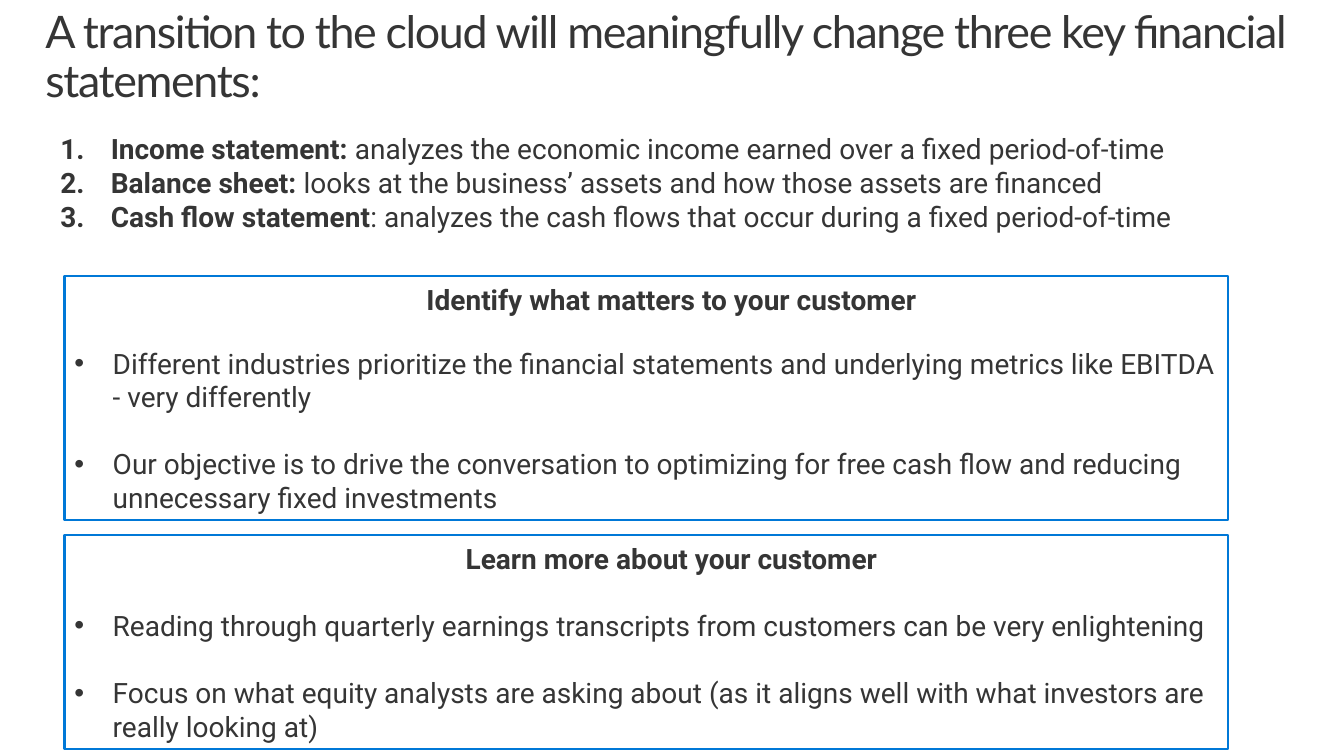
from lxml import etree
from pptx import Presentation
from pptx.dml.color import RGBColor
from pptx.enum.shapes import MSO_SHAPE
from pptx.enum.text import MSO_ANCHOR, PP_ALIGN
from pptx.oxml.ns import qn
from pptx.util import Inches, Pt

RECT = MSO_SHAPE.RECTANGLE
TOP, MIDDLE = MSO_ANCHOR.TOP, MSO_ANCHOR.MIDDLE
LEFT, CENTER = PP_ALIGN.LEFT, PP_ALIGN.CENTER
COLORS = {"text": "353535", "fill": "FFFFFF", "line": "0078D7"}

TITLE = "A transition to the cloud will meaningfully change three key financial statements:"
ITEMS = [
    ("Income statement: ", "analyzes the economic income earned over a fixed period-of-time"),
    ("Balance sheet: ", "looks at the business’ assets and how those assets are financed"),
    ("Cash flow statement", ": analyzes the cash flows that occur during a fixed period-of-time"),
]
PANELS = [
    (2.74, 2.42, 21.6, "Identify what matters to your customer", [
        "Different industries prioritize the financial statements and underlying metrics like EBITDA - very differently",
        "Our objective is to drive the conversation to optimizing for free cash flow and reducing unnecessary fixed investments",
    ]),
    (5.31, 2.12, 24, "Learn more about your customer", [
        "Reading through quarterly earnings transcripts from customers can be very enlightening",
        "Focus on what equity analysts are asking about (as it aligns well with what investors are really looking at)",
    ]),
]


def color(name):
    """Return a named colour."""
    return RGBColor.from_string(COLORS[name])


def add_run(para, text, size=20, bold=False, face="Roboto"):
    """Add one styled run to a paragraph."""
    run = para.add_run()
    run.text = text
    font = run.font
    font.size, font.bold, font.name = Pt(size), bold, face
    font.color.rgb = color("text")
    return run


def indent(para, left, hang=0, tag=None, **attrs):
    """Set a paragraph's indent and its bullet, if any."""
    props = para._p.get_or_add_pPr()
    props.set("marL", str(Inches(left)))
    props.set("indent", str(-Inches(hang)))
    if tag:
        if tag == "a:buChar":
            etree.SubElement(props, qn("a:buFont"), typeface="Arial")
        etree.SubElement(props, qn(tag), **attrs)


def next_para(frame, first):
    """Return the first paragraph of a frame or a new one."""
    return frame.paragraphs[0] if first else frame.add_paragraph()


def add_text(slide, box):
    """Add a wrapping text box and return its frame."""
    frame = slide.shapes.add_textbox(*map(Inches, box)).text_frame
    frame.word_wrap = True
    frame.vertical_anchor = TOP
    return frame


def add_title(slide, box):
    """Add the headline."""
    frame = add_text(slide, box)
    frame.margin_left = frame.margin_right = Inches(0.16)
    frame.margin_top = frame.margin_bottom = Inches(0.1)
    para = frame.paragraphs[0]
    para.line_spacing = 0.9
    run = add_run(para, TITLE, 32, face="Lato")
    run._r.get_or_add_rPr().set("spc", "-100")


def add_list(slide, box):
    """Add the numbered statements."""
    frame = add_text(slide, box)
    for i, (name, note) in enumerate(ITEMS):
        para = next_para(frame, i == 0)
        indent(para, 0.5, 0.5, "a:buAutoNum", type="arabicPeriod")
        add_run(para, name, bold=True)
        add_run(para, note)


def add_panel(slide, box, gap, head, points):
    """Add a framed panel with a heading and bullets."""
    shape = slide.shapes.add_shape(RECT, *map(Inches, box))
    shape.shadow.inherit = False
    shape.fill.solid()
    shape.fill.fore_color.rgb = color("fill")
    shape.line.color.rgb = color("line")
    shape.line.width = Pt(1.5)
    frame = shape.text_frame
    frame.word_wrap = True
    frame.vertical_anchor = MIDDLE
    para = frame.paragraphs[0]
    para.alignment = CENTER
    indent(para, 0.5)
    add_run(para, head, bold=True)
    for i, point in enumerate(points):
        para = next_para(frame, False)
        para.alignment = LEFT
        para.space_before = Pt(24 if i else gap)
        indent(para, 0.38, 0.38, "a:buChar", char="•")
        add_run(para, point)


def main():
    """Build and save the slide."""
    deck = Presentation()
    deck.slide_width, deck.slide_height = Inches(13.33), Inches(7.5)
    slide = deck.slides.add_slide(deck.slide_layouts[6])
    add_title(slide, (0.29, 0, 12.75, 1.34))
    add_list(slide, (0.5, 1.26, 12.02, 1.1))
    for top, high, gap, head, points in PANELS:
        add_panel(slide, (0.64, top, 11.54, high), gap, head, points)
    deck.save("out.pptx")


if __name__ == "__main__":
    main()
